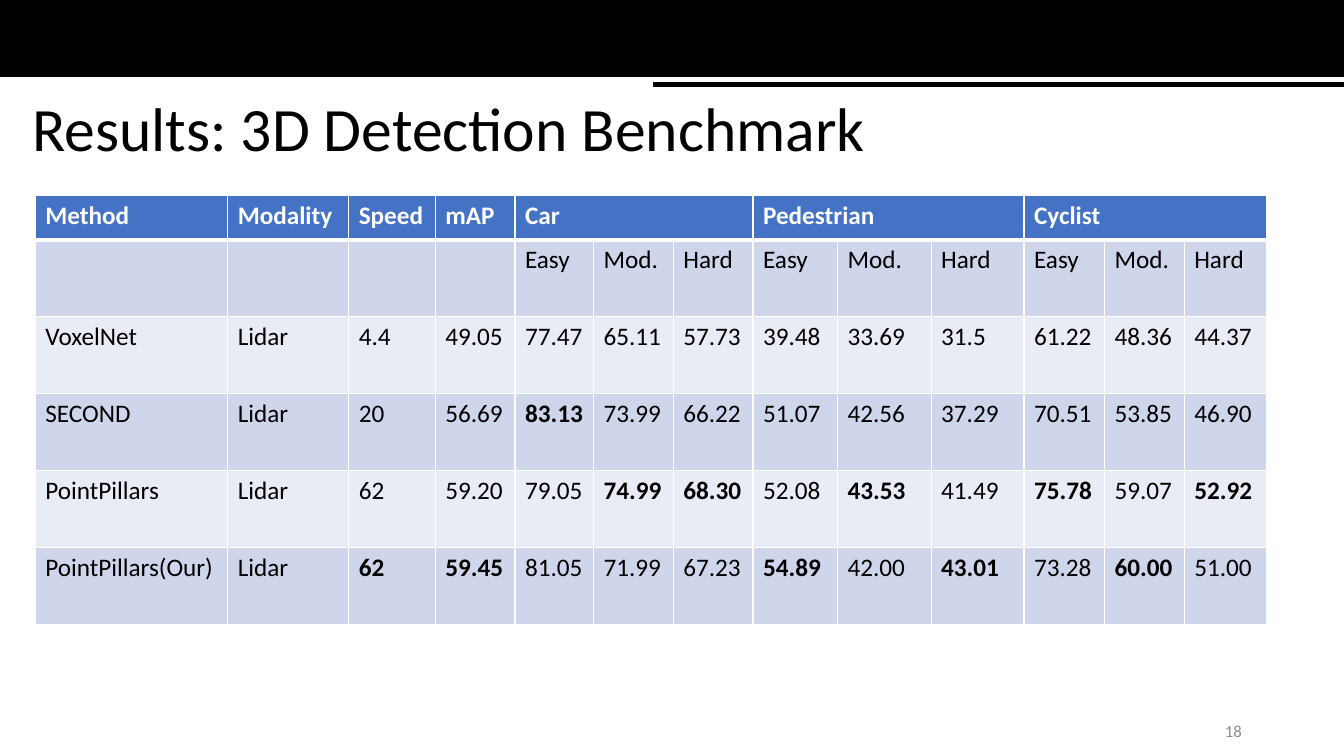
from lxml import etree
from pptx import Presentation
from pptx.dml.color import RGBColor
from pptx.enum.shapes import MSO_SHAPE
from pptx.enum.text import MSO_ANCHOR, MSO_AUTO_SIZE, PP_ALIGN
from pptx.oxml.ns import qn
from pptx.util import Cm, Pt

RECTANGLE = MSO_SHAPE.RECTANGLE
MIDDLE = MSO_ANCHOR.MIDDLE
LEFT, RIGHT = PP_ALIGN.LEFT, PP_ALIGN.RIGHT
NO_AUTOFIT = MSO_AUTO_SIZE.NONE

COLORS = {
    "black": "000000",
    "white": "FFFFFF",
    "header": "4472C4",
    "dark_band": "CFD5EA",
    "light_band": "E9EBF5",
    "number": "8C8C8C",
}
FONT = "Calibri"
SLIDE_WIDTH, SLIDE_HEIGHT = 33.87, 19.05

SETTINGS = ["Method", "Modality", "Speed", "mAP"]
CLASSES = ["Car", "Pedestrian", "Cyclist"]
LEVELS = ["Easy", "Mod.", "Hard"]
RESULTS = [
    ["VoxelNet", "Lidar", "4.4", "49.05", "77.47", "65.11", "57.73",
     "39.48", "33.69", "31.5", "61.22", "48.36", "44.37"],
    ["SECOND", "Lidar", "20", "56.69", "83.13", "73.99", "66.22",
     "51.07", "42.56", "37.29", "70.51", "53.85", "46.90"],
    ["PointPillars", "Lidar", "62", "59.20", "79.05", "74.99", "68.30",
     "52.08", "43.53", "41.49", "75.78", "59.07", "52.92"],
    ["PointPillars(Our)", "Lidar", "62", "59.45", "81.05", "71.99", "67.23",
     "54.89", "42.00", "43.01", "73.28", "60.00", "51.00"],
]
FIRST_SCORE = 2
COLUMN_WIDTHS = [4.85, 3.05, 2.18, 2.01, 1.98, 2.01, 2.01,
                 2.13, 2.36, 2.34, 2.03, 2.01, 2.08]
HEADER_HEIGHT, ROW_HEIGHT = 1.11, 1.94


def color(name):
    return RGBColor.from_string(COLORS[name])


def write_text(frame, text, size=18, color_name="black", bold=False, align=LEFT):
    paragraph = frame.paragraphs[0]
    paragraph.alignment = align
    run = paragraph.add_run()
    run.text = text
    run.font.name = FONT
    run.font.size = Pt(size)
    run.font.bold = bold
    run.font.color.rgb = color(color_name)
    return paragraph


def add_bar(slide, left, top, width, height):
    shape = slide.shapes.add_shape(RECTANGLE, Cm(left), Cm(top), Cm(width), Cm(height))
    shape.shadow.inherit = False
    shape.fill.solid()
    shape.fill.fore_color.rgb = color("black")
    shape.line.color.rgb = color("black")
    shape.line.width = Pt(1)


def add_banner(slide, left, top, width):
    add_bar(slide, left, top, width, 1.93)
    accent_width = 17.4
    add_bar(slide, left + width - accent_width, top + 2.08, accent_width, 0.1)


def add_title(slide, text, left, top, width, height):
    title = slide.shapes.title
    title.left, title.top = Cm(left), Cm(top)
    title.width, title.height = Cm(width), Cm(height)
    frame = title.text_frame
    frame.auto_size = NO_AUTOFIT
    frame.vertical_anchor = MIDDLE
    write_text(frame, text, size=44).line_spacing = 0.9


def set_borders(cell, **widths):
    properties = cell._tc.get_or_add_tcPr()
    for position, side in enumerate("LRTB"):
        line = etree.Element(qn(f"a:ln{side}"), w=str(Pt(widths.get(side, 1))))
        fill = etree.SubElement(line, qn("a:solidFill"))
        etree.SubElement(fill, qn("a:srgbClr"), val=COLORS["white"])
        properties.insert(position, line)


def best_row(column):
    return max(range(len(RESULTS)), key=lambda row: (float(RESULTS[row][column]), row))


def table_rows():
    classes = [text for name in CLASSES for text in (name, "", "")]
    levels = [""] * len(SETTINGS) + LEVELS * len(CLASSES)
    return [SETTINGS + classes, levels] + RESULTS


def add_results_table(slide, left, top):
    rows = table_rows()
    heights = [HEADER_HEIGHT] + [ROW_HEIGHT] * (len(rows) - 1)
    table = slide.shapes.add_table(
        len(rows), len(COLUMN_WIDTHS), Cm(left), Cm(top),
        Cm(sum(COLUMN_WIDTHS)), Cm(sum(heights))).table
    for column, width in zip(table.columns, COLUMN_WIDTHS):
        column.width = Cm(width)
    for row, height in zip(table.rows, heights):
        row.height = Cm(height)

    best_cells = {(best_row(column) + 2, column)
                  for column in range(FIRST_SCORE, len(COLUMN_WIDTHS))}
    for row, texts in enumerate(rows):
        is_header = row == 0
        band = "header" if is_header else "dark_band" if row % 2 else "light_band"
        for column, text in enumerate(texts):
            cell = table.cell(row, column)
            cell.fill.solid()
            cell.fill.fore_color.rgb = color(band)
            set_borders(cell, T=3 if row == 1 else 1, B=3 if is_header else 1)
            if text:
                write_text(cell.text_frame, text,
                           color_name="white" if is_header else "black",
                           bold=is_header or (row, column) in best_cells)

    span = len(LEVELS)
    for first in range(len(SETTINGS), len(COLUMN_WIDTHS), span):
        table.cell(0, first).merge(table.cell(0, first + span - 1))


def add_slide_number(slide, text, left, top, width, height):
    box = slide.shapes.add_textbox(Cm(left), Cm(top), Cm(width), Cm(height))
    frame = box.text_frame
    frame.word_wrap = True
    frame.vertical_anchor = MIDDLE
    write_text(frame, text, size=12, color_name="number", align=RIGHT)


def build_results_slide(presentation):
    slide = presentation.slides.add_slide(presentation.slide_layouts[5])
    add_banner(slide, 0, 0, SLIDE_WIDTH)
    add_title(slide, "Results: 3D Detection Benchmark", 0.56, 1.93, 30.99, 2.77)
    add_results_table(slide, 0.89, 4.93)
    add_slide_number(slide, "18", 23.93, 17.91, 7.62, 1.02)


def main():
    presentation = Presentation()
    presentation.slide_width = Cm(SLIDE_WIDTH)
    presentation.slide_height = Cm(SLIDE_HEIGHT)
    build_results_slide(presentation)
    presentation.save("out.pptx")


if __name__ == "__main__":
    main()
